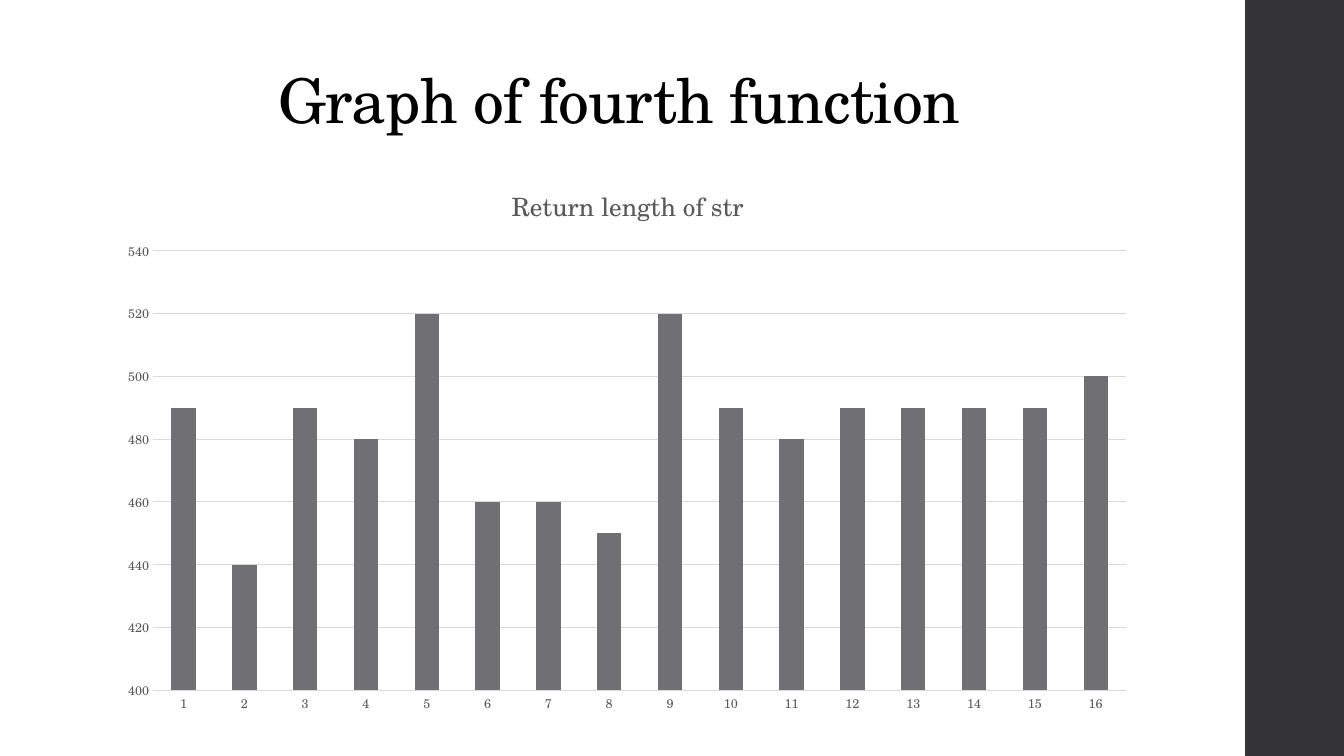
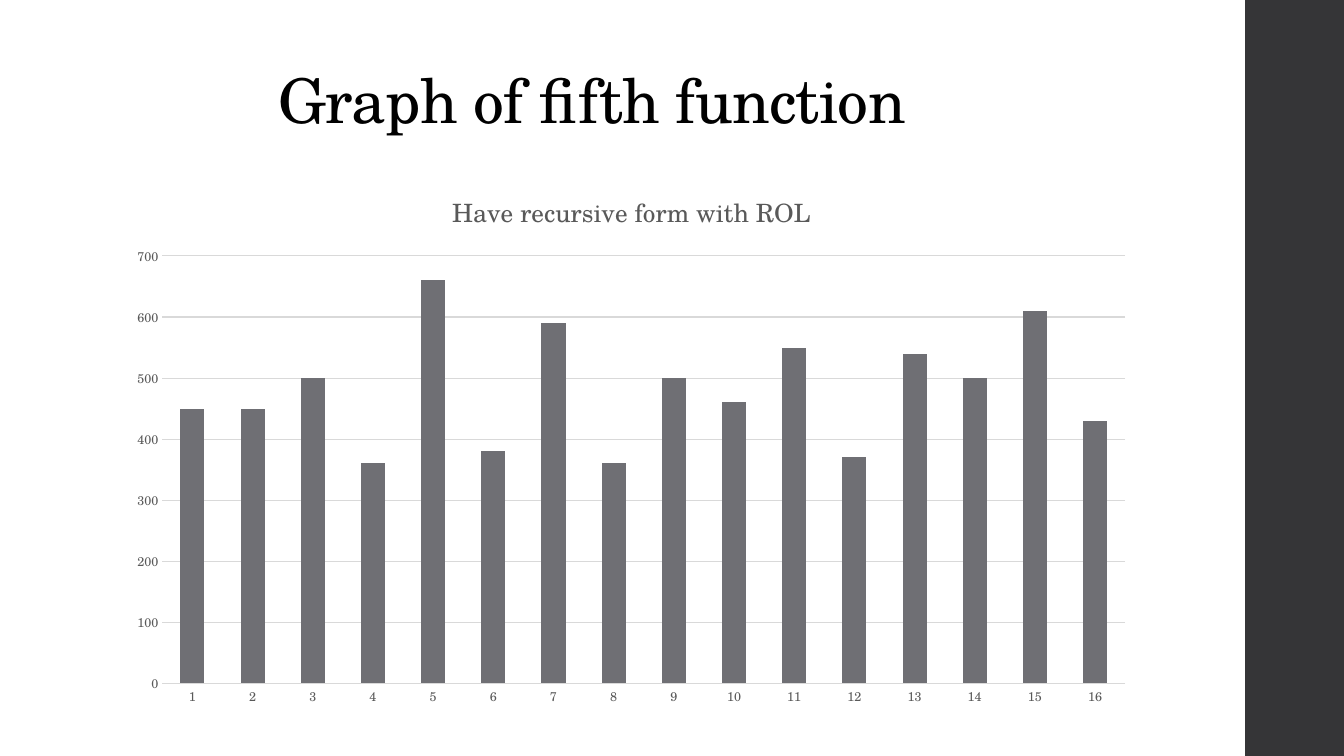
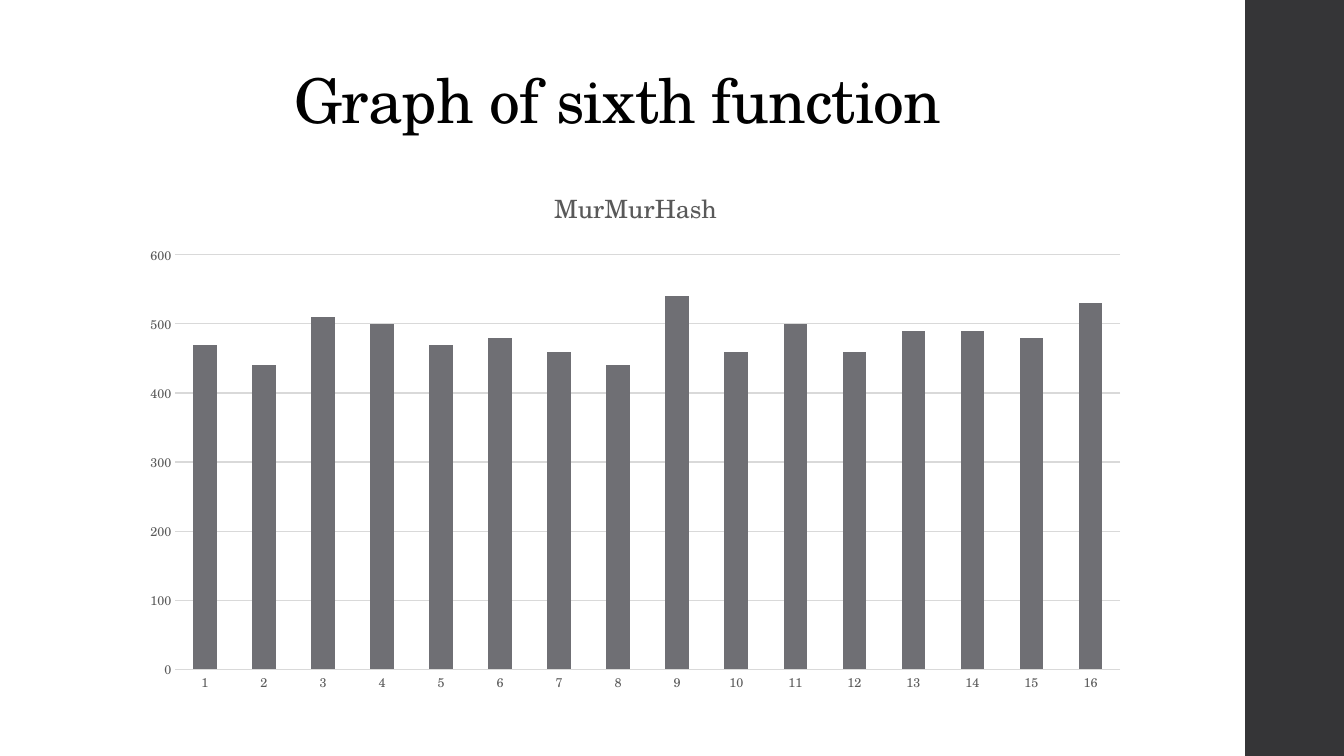
from pptx import Presentation
from pptx.chart.data import CategoryChartData
from pptx.dml.color import RGBColor
from pptx.enum.chart import XL_CHART_TYPE as ChartType, XL_TICK_MARK as TickMark
from pptx.enum.shapes import MSO_SHAPE as Shape
from pptx.enum.text import MSO_ANCHOR as Anchor, MSO_AUTO_SIZE as AutoSize, PP_ALIGN as Align
from pptx.oxml import parse_xml
from pptx.oxml.ns import nsdecls, qn
from pptx.util import Pt

PX = 9144
WIDTH, HEIGHT = 1333, 750
FONT = "TeX Gyre Schola"
BLACK = RGBColor(0x00, 0x00, 0x00)
CHARCOAL = RGBColor(0x35, 0x35, 0x37)
BAR_GRAY = RGBColor(0x6F, 0x6F, 0x74)
TEXT_GRAY = RGBColor(0x59, 0x59, 0x59)
GRID_GRAY = RGBColor(0xD9, 0xD9, 0xD9)

GRAPHS = [
    {
        "title": "Graph of fourth function",
        "title_box": (266, 43, 803, 98),
        "heading": "Return length of str",
        "chart_box": (107, 166, 1031, 553),
        "heading_at": (396, 13),
        "plot_box": (45, 83, 965, 436),
        "scale": (400, 540, 20),
        "values": (490, 440, 490, 480, 520, 460, 460, 450,
                   520, 490, 480, 490, 490, 490, 490, 500),
    },
    {
        "title": "Graph of fifth function",
        "title_box": (266, 43, 803, 98),
        "heading": "Have recursive form with ROL",
        "chart_box": (116, 171, 1021, 540),
        "heading_at": (328, 14),
        "plot_box": (45, 83, 955, 424),
        "scale": (0, 700, 100),
        "values": (450, 450, 500, 360, 660, 380, 590, 360,
                   500, 460, 550, 370, 540, 500, 610, 430),
    },
    {
        "title": "Graph of sixth function",
        "title_box": (282, 43, 803, 98),
        "heading": "MurMurHash",
        "chart_box": (129, 166, 1002, 532),
        "heading_at": (416, 15),
        "plot_box": (45, 87, 937, 411),
        "scale": (0, 600, 100),
        "values": (470, 440, 510, 500, 470, 480, 460, 440,
                   540, 460, 500, 460, 490, 490, 480, 530),
    },
]


def emu(*lengths):
    return [length * PX for length in lengths]


def style_font(font, size, color):
    font.name = FONT
    font.size = Pt(size)
    font.bold = False
    font.color.rgb = color


def add_side_band(page, box):
    band = page.shapes.add_shape(Shape.RECTANGLE, *emu(*box))
    band.shadow.inherit = False
    band.fill.solid()
    band.fill.fore_color.rgb = CHARCOAL
    band.line.fill.background()
    page.slide_layout.shapes.element.insert(2, band.element)


def place_title(page, text, box):
    title = page.shapes.title
    title.left, title.top, title.width, title.height = emu(*box)
    frame = title.text_frame
    frame.text = text
    frame.word_wrap = True
    frame.auto_size = AutoSize.NONE
    frame.vertical_anchor = Anchor.BOTTOM
    para = frame.paragraphs[0]
    para.alignment = Align.LEFT
    para.line_spacing = 0.9
    style_font(para.font, 44, BLACK)
    for properties in title.element.iter(qn("a:defRPr")):
        properties.set("spc", "-50")


def set_layout(element, place, chart_size, inner=False):
    for old in element.findall(qn("c:layout")):
        element.remove(old)
    fractions = [length / chart_size[i % 2] for i, length in enumerate(place)]
    target = '<c:layoutTarget val="inner"/>' if inner else ""
    modes = '<c:xMode val="edge"/><c:yMode val="edge"/>'
    sizes = "".join(f'<c:{name} val="{value:.4f}"/>' for name, value in zip("xywh", fractions))
    layout = parse_xml(
        f'<c:layout {nsdecls("c")}><c:manualLayout>{target}{modes}{sizes}'
        "</c:manualLayout></c:layout>"
    )
    element.insert(0 if inner else 1, layout)


def style_axes(chart, scale):
    category_axis, value_axis = chart.category_axis, chart.value_axis
    for axis in (category_axis, value_axis):
        axis.major_tick_mark = axis.minor_tick_mark = TickMark.NONE
        style_font(axis.tick_labels.font, 9, TEXT_GRAY)
    value_axis.minimum_scale, value_axis.maximum_scale, value_axis.major_unit = scale
    value_axis.format.line.fill.background()
    value_axis.has_major_gridlines = True
    for line in (category_axis.format.line, value_axis.major_gridlines.format.line):
        line.color.rgb = GRID_GRAY
        line.width = Pt(0.75)


def add_column_chart(page, graph):
    box = graph["chart_box"]
    values = graph["values"]
    chart_data = CategoryChartData()
    chart_data.categories = [str(number) for number in range(1, len(values) + 1)]
    chart_data.add_series("Series 1", values)
    chart = page.shapes.add_chart(ChartType.COLUMN_STACKED, *emu(*box), chart_data).chart
    style_font(chart.font, 10, BLACK)
    chart.has_legend = False
    chart.has_title = True
    heading = chart.chart_title
    heading.text_frame.text = graph["heading"]
    heading.include_in_layout = False
    style_font(heading.text_frame.paragraphs[0].font, 18, TEXT_GRAY)
    style_axes(chart, graph["scale"])
    plot = chart.plots[0]
    plot.gap_width, plot.overlap = 150, 100
    plot.vary_by_categories = False
    fill = plot.series[0].format.fill
    fill.solid()
    fill.fore_color.rgb = BAR_GRAY
    title_element = chart.element.find(f".//{qn('c:title')}")
    plot_element = chart.element.find(f".//{qn('c:plotArea')}")
    set_layout(title_element, graph["heading_at"], box[2:])
    set_layout(plot_element, graph["plot_box"], box[2:], inner=True)


def add_graph_page(deck, graph):
    page = deck.slides.add_slide(deck.slide_layouts.get_by_name("Title Only"))
    place_title(page, graph["title"], graph["title_box"])
    add_column_chart(page, graph)
    return page


def main():
    deck = Presentation()
    deck.slide_width, deck.slide_height = emu(WIDTH, HEIGHT)
    pages = [add_graph_page(deck, graph) for graph in GRAPHS]
    add_side_band(pages[0], (1235, 0, 100, HEIGHT))
    deck.save("out.pptx")


if __name__ == "__main__":
    main()
